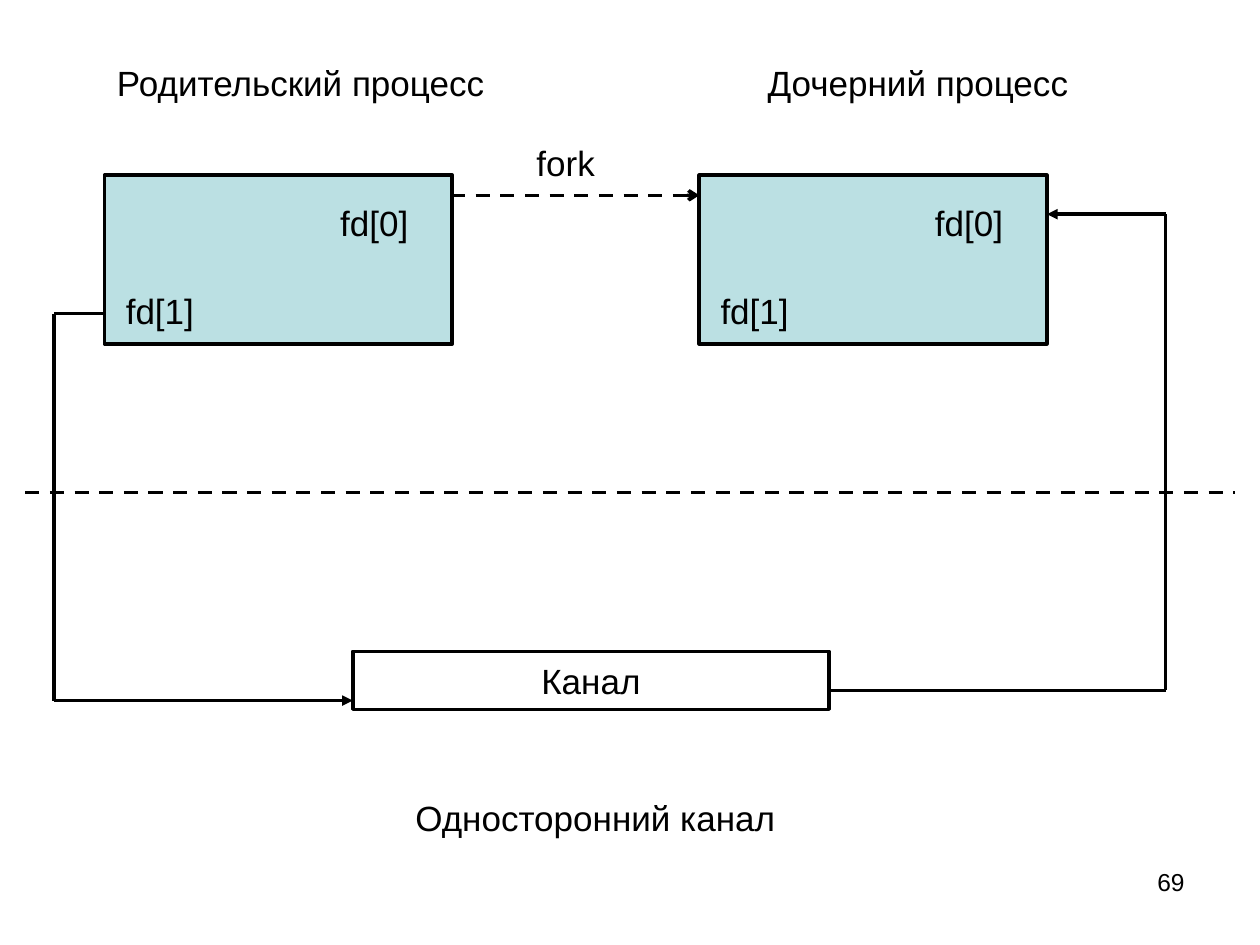
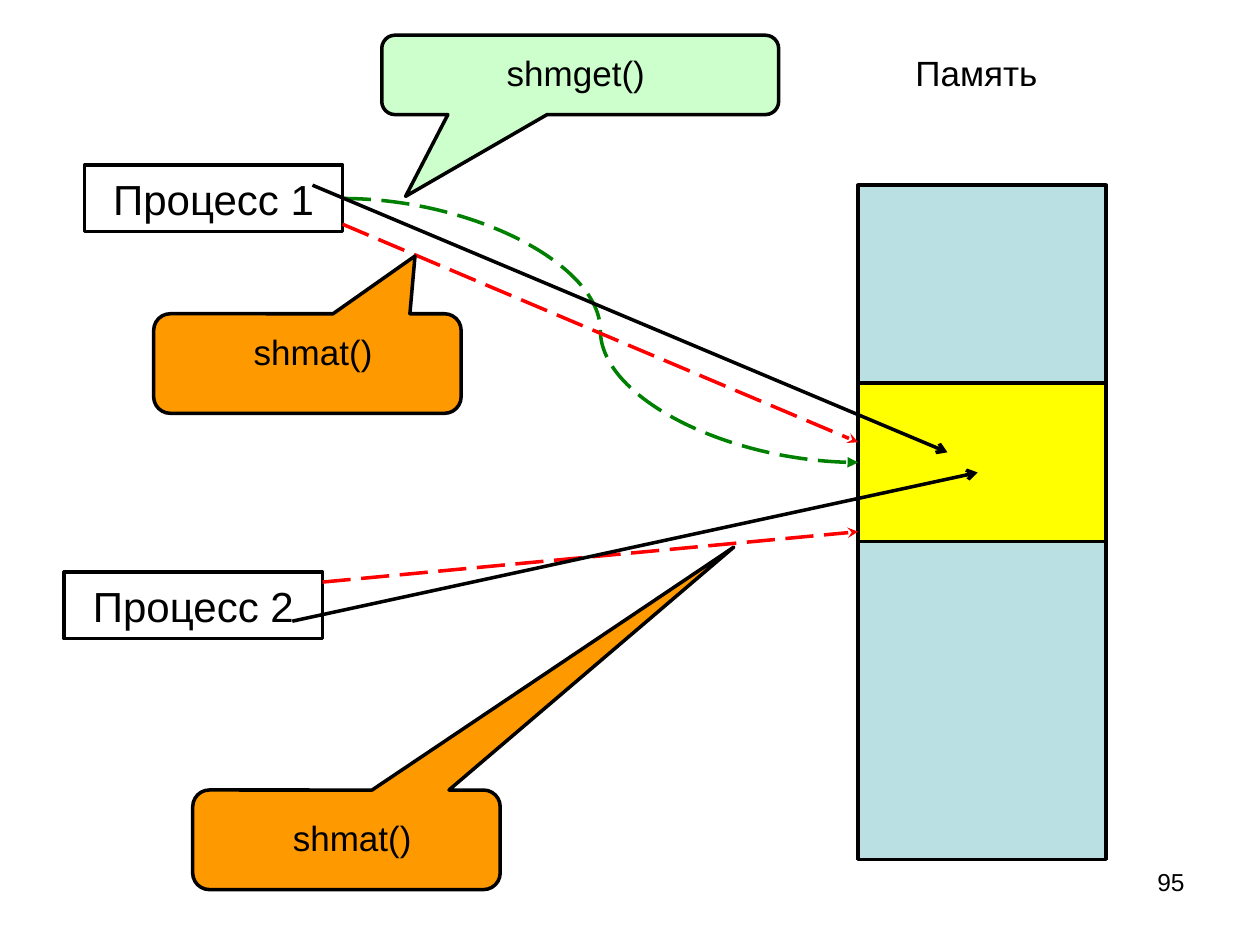
from itertools import pairwise

from lxml.etree import SubElement
from pptx import Presentation
from pptx.dml.color import RGBColor
from pptx.enum.dml import MSO_LINE as DASH
from pptx.enum.shapes import MSO_CONNECTOR as CONNECTOR, MSO_SHAPE as SHAPE
from pptx.enum.text import MSO_ANCHOR as ANCHOR, PP_ALIGN as ALIGN
from pptx.oxml.ns import qn
from pptx.util import Inches, Pt

FONT = "Arial"
BLACK = RGBColor(0x00, 0x00, 0x00)
PALE_BLUE = RGBColor(0xBB, 0xE0, 0xE3)
YELLOW = RGBColor(0xFF, 0xFF, 0x00)
PALE_GREEN = RGBColor(0xCC, 0xFF, 0xCC)
ORANGE = RGBColor(0xFF, 0x99, 0x00)
GREEN = RGBColor(0x00, 0x80, 0x00)
RED = RGBColor(0xFF, 0x00, 0x00)
LINE_WIDTH = Pt(2)
LABEL_HEIGHT = 0.43


def write(shape, text, size=20, align=ALIGN.CENTER, anchor=ANCHOR.TOP):
    frame = shape.text_frame
    frame.word_wrap = True
    frame.vertical_anchor = anchor
    paragraph = frame.paragraphs[0]
    paragraph.text = text
    paragraph.alignment = align
    paragraph.font.name = FONT
    paragraph.font.size = Pt(size)
    paragraph.font.color.rgb = BLACK


def add_label(shapes, text, left, top, width, height=LABEL_HEIGHT, **text_format):
    box = shapes.add_textbox(Inches(left), Inches(top), Inches(width), Inches(height))
    write(box, text, **text_format)


def add_box(shapes, left, top, width, height, fill=None, kind=SHAPE.RECTANGLE):
    """Add an outlined shape; without a fill colour it stays transparent."""
    box = shapes.add_shape(kind, Inches(left), Inches(top), Inches(width), Inches(height))
    box.shadow.inherit = False
    if fill is None:
        box.fill.background()
    else:
        box.fill.solid()
        box.fill.fore_color.rgb = fill
    box.line.color.rgb = BLACK
    box.line.width = LINE_WIDTH
    return box


def add_callout(shapes, left, top, width, height, fill, pointer):
    """Add a rounded callout; pointer is the tip's offset from the centre, in box sizes."""
    callout = add_box(shapes, left, top, width, height, fill, SHAPE.ROUNDED_RECTANGULAR_CALLOUT)
    callout.adjustments[0], callout.adjustments[1] = pointer


def add_line(shapes, start, end, color=BLACK, dash=None, arrow=None, kind=CONNECTOR.STRAIGHT):
    line = shapes.add_connector(kind, *map(Inches, start + end))
    line.line.color.rgb = color
    line.line.width = LINE_WIDTH
    if dash:
        line.line.dash_style = dash
    if arrow:
        SubElement(line.line._get_or_add_ln(), qn("a:tailEnd"), type=arrow)
    SubElement(line._element.spPr, qn("a:effectLst"))
    return line


def add_route(shapes, *points):
    """Join the points with straight lines, with an arrowhead at the last one."""
    segments = list(pairwise(points))
    for start, end in segments[:-1]:
        add_line(shapes, start, end)
    add_line(shapes, *segments[-1], arrow="triangle")


def add_process_with_descriptors(slide, left):
    shapes = slide.shapes.add_group_shape().shapes
    add_box(shapes, left, 1.39, 2.76, 1.34, PALE_BLUE)
    add_label(shapes, "fd[1]", left + 0.07, 2.25, 1.02, align=ALIGN.LEFT)
    add_label(shapes, "fd[0]", left + 1.49, 1.55, 1.02, align=ALIGN.RIGHT)


def add_numbered_slide(presentation, number):
    slide = presentation.slides.add_slide(presentation.slide_layouts[6])
    add_label(slide.shapes, str(number), 7.17, 6.83, 2.33, 0.52, size=14, align=ALIGN.RIGHT)
    return slide


def build_pipe_slide(presentation):
    slide = add_numbered_slide(presentation, 69)
    shapes = slide.shapes
    add_label(shapes, "Родительский процесс", 0.83, 0.44, 3.39, align=ALIGN.LEFT)
    add_label(shapes, "Дочерний процесс", 5.08, 0.44, 4.41)
    for left in (0.83, 5.55):
        add_process_with_descriptors(slide, left)

    add_line(shapes, (3.58, 1.55), (5.55, 1.55), dash=DASH.DASH, arrow="arrow")
    add_label(shapes, "fork", 3.9, 1.07, 1.18)

    pipe = add_box(shapes, 2.8, 5.17, 3.78, 0.46)
    write(pipe, "Канал", anchor=ANCHOR.MIDDLE)
    add_route(shapes, (0.83, 2.49), (0.43, 2.49), (0.43, 5.56), (2.8, 5.56))
    add_route(shapes, (6.57, 5.48), (9.25, 5.48), (9.25, 1.7), (8.31, 1.7))
    add_line(shapes, (0.2, 3.91), (9.8, 3.91), dash=DASH.DASH)
    add_label(shapes, "Односторонний канал", 0.67, 6.27, 8.11)


def build_shared_memory_slide(presentation):
    shapes = add_numbered_slide(presentation, 95).shapes
    processes = []
    for number, (left, top) in enumerate([(0.67, 1.31), (0.51, 4.54)], start=1):
        process = add_box(shapes, left, top, 2.05, 0.53)
        write(process, f"Процесс {number}", size=24, anchor=ANCHOR.MIDDLE)
        processes.append(process)

    add_box(shapes, 6.81, 1.47, 1.97, 5.35, PALE_BLUE)
    add_label(shapes, "Память", 6.57, 0.36, 2.36)
    segment = add_box(shapes, 6.81, 3.04, 1.97, 1.26, YELLOW)

    request = add_line(shapes, (2.72, 1.57), (6.81, 3.67), GREEN, DASH.LONG_DASH,
                       "triangle", CONNECTOR.CURVE)
    request.begin_connect(processes[0], 3)
    request.end_connect(segment, 1)
    add_callout(shapes, 3.03, 0.28, 3.15, 0.63, PALE_GREEN, (-0.44, 1.53))
    add_label(shapes, "shmget()", 3.19, 0.36, 2.76)

    attachments = [
        ((2.72, 1.78), (6.81, 3.51), (1.22, 2.49), (0.35, -1.08), (1.46, 2.57)),
        ((2.56, 4.62), (6.81, 4.22), (1.53, 6.27), (1.26, -2.94), (1.77, 6.43)),
    ]
    for start, end, callout_at, pointer, label_at in attachments:
        add_line(shapes, start, end, RED, DASH.LONG_DASH, "stealth")
        add_callout(shapes, *callout_at, 2.44, 0.79, ORANGE, pointer)
        add_label(shapes, "shmat()", *label_at, 2.05)

    add_line(shapes, (2.48, 1.47), (7.52, 3.59), arrow="arrow")
    add_line(shapes, (2.32, 4.93), (7.76, 3.75), arrow="arrow")


def main():
    presentation = Presentation()
    presentation.slide_width = Inches(10)
    presentation.slide_height = Inches(7.5)
    build_pipe_slide(presentation)
    build_shared_memory_slide(presentation)
    presentation.save("out.pptx")


if __name__ == "__main__":
    main()
